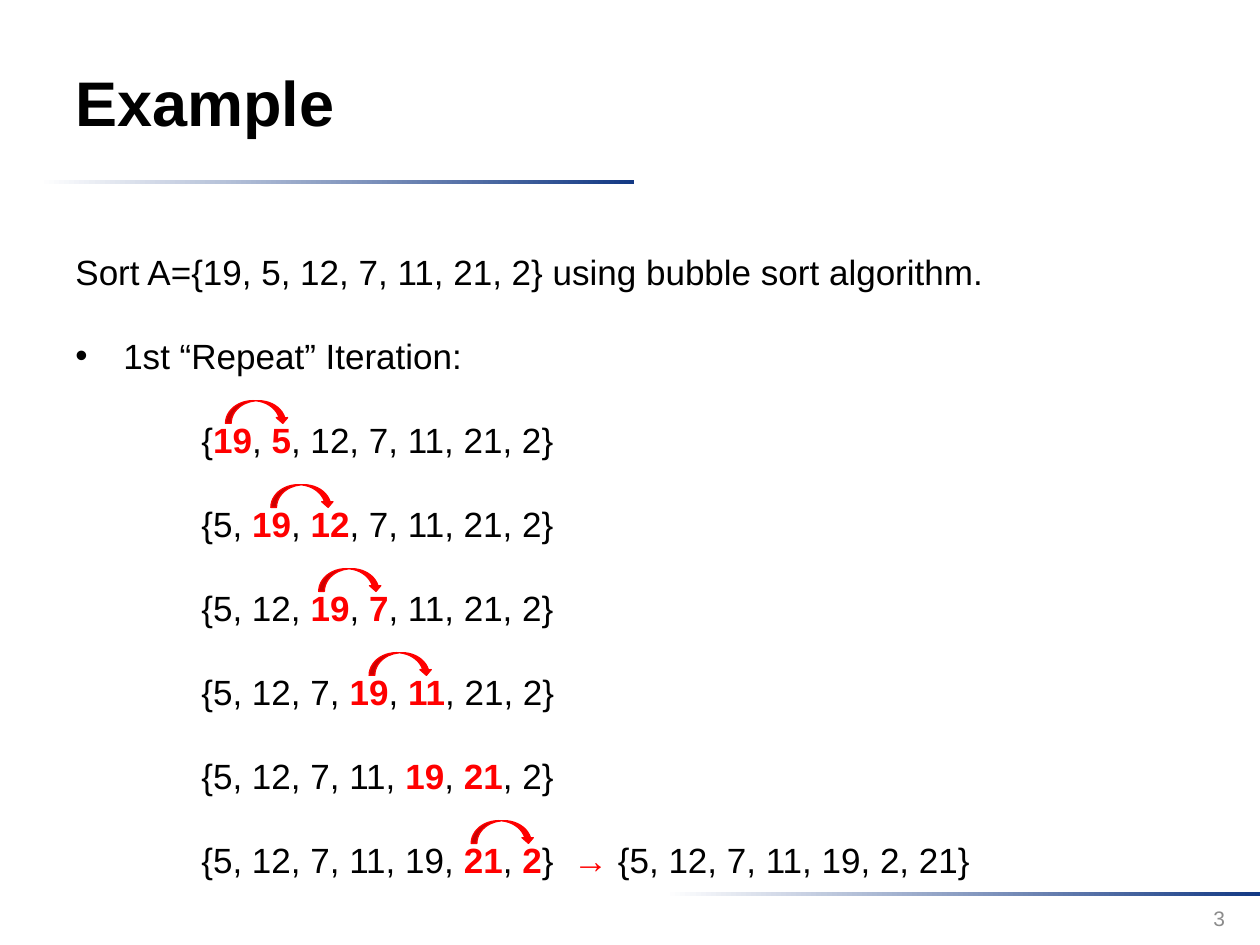
from dataclasses import dataclass

from lxml.etree import SubElement
from pptx import Presentation
from pptx.dml.color import RGBColor
from pptx.enum.shapes import MSO_SHAPE as Shape
from pptx.enum.text import MSO_ANCHOR as Anchor, PP_ALIGN as Align
from pptx.oxml.ns import qn
from pptx.util import Inches, Pt

TITLE = "Example"
TASK = "Sort A={19, 5, 12, 7, 11, 21, 2} using bubble sort algorithm."
HEADING = "1st “Repeat” Iteration:"
PAGE_NUMBER = "3"

# Values, position of the compared pair, left edge of the swap arrow (None: no swap)
STEPS = [
    ([19, 5, 12, 7, 11, 21, 2], 0, 1.79),
    ([5, 19, 12, 7, 11, 21, 2], 1, 2.15),
    ([5, 12, 19, 7, 11, 21, 2], 2, 2.53),
    ([5, 12, 7, 19, 11, 21, 2], 3, 2.93),
    ([5, 12, 7, 11, 19, 21, 2], 4, None),
    ([5, 12, 7, 11, 19, 21, 2], 5, 3.74),
]
RESULT = "{5, 12, 7, 11, 19, 2, 21}"
RULES = [(0.31, 1.43), (5.28, 7.08)]
FIRST_ARROW_TOP = 3.18
ROW_PITCH = 48 / 72


@dataclass(frozen=True)
class Theme:
    """Font, type sizes and colours of the slide."""
    font: str = "Arial"
    title: int = 36
    body: int = 20
    footer: int = 12
    row_gap: int = 24
    black: RGBColor = RGBColor(0, 0, 0)
    red: RGBColor = RGBColor(0xFF, 0, 0)
    gray: RGBColor = RGBColor(0x8C, 0x8C, 0x8C)
    navy: RGBColor = RGBColor(0x13, 0x39, 0x84)
    white: RGBColor = RGBColor(0xFF, 0xFF, 0xFF)


THEME = Theme()


def add_text_frame(page, left, top, width, height, anchor=Anchor.MIDDLE):
    """Add a wrapping text box and return its frame."""
    box = page.shapes.add_textbox(*map(Inches, (left, top, width, height)))
    frame = box.text_frame
    frame.word_wrap = True
    frame.vertical_anchor = anchor
    return frame


def add_span(para, text, size=THEME.body, color=THEME.black, bold=False):
    """Append one formatted run to a paragraph."""
    span = para.add_run()
    span.text = text
    font = span.font
    font.name, font.size, font.bold = THEME.font, Pt(size), bold
    font.color.rgb = color


def add_row(frame, left=0, hanging=0):
    """Append an indented paragraph, one row pitch below the last."""
    para = frame.add_paragraph()
    para.space_before = Pt(THEME.row_gap)
    properties = para._p.get_or_add_pPr()
    properties.set("marL", str(Inches(left)))
    properties.set("indent", str(-Inches(hanging)))
    return para


def add_bullet(para):
    """Give a paragraph a round bullet in the theme font."""
    properties = para._p.get_or_add_pPr()
    SubElement(properties, qn("a:buFont")).set("typeface", THEME.font)
    SubElement(properties, qn("a:buChar")).set("char", "•")


def add_step(frame, values, pair):
    """Write one list of values with the compared pair in bold red."""
    para = add_row(frame, left=1)
    before = "".join(f"{value}, " for value in values[:pair])
    after = "".join(f", {value}" for value in values[pair + 2:])
    add_span(para, "{" + before)
    add_span(para, str(values[pair]), color=THEME.red, bold=True)
    add_span(para, ", ")
    add_span(para, str(values[pair + 1]), color=THEME.red, bold=True)
    add_span(para, after + "}")
    return para


def add_rule(page, left, top):
    """Draw a thin bar fading from white to navy."""
    bar = page.shapes.add_shape(
        Shape.RECTANGLE, *map(Inches, (left, top, 4.72, 0.03)))
    bar.shadow.inherit = False
    bar.line.fill.background()
    bar.fill.gradient()
    bar.fill.gradient_angle = 0
    for stop, color in zip(bar.fill.gradient_stops, (THEME.white, THEME.navy)):
        stop.color.rgb = color


def add_swap_arrow(page, left, row):
    """Draw the curved arrow above a swapped pair."""
    top = FIRST_ARROW_TOP + row * ROW_PITCH
    arrow = page.shapes.add_shape(
        Shape.CURVED_DOWN_ARROW, *map(Inches, (left, top, 0.5, 0.18)))
    arrow.shadow.inherit = False
    arrow.fill.solid()
    arrow.fill.fore_color.rgb = THEME.red
    arrow.line.color.rgb = THEME.red
    arrow.line.width = Pt(0.75)


deck = Presentation()
deck.slide_width, deck.slide_height = Inches(10), Inches(7.5)
page = deck.slides.add_slide(deck.slide_layouts[6])

for left, top in RULES:
    add_rule(page, left, top)

title = add_text_frame(page, 0.5, 0.18, 7.73, 1.25)
add_span(title.paragraphs[0], TITLE, THEME.title, bold=True)

body = add_text_frame(page, 0.5, 1.94, 9.08, 5.75, Anchor.TOP)
body.margin_top = Inches(0.05)
add_span(body.paragraphs[0], TASK)
heading = add_row(body, left=0.38, hanging=0.38)
add_bullet(heading)
add_span(heading, HEADING)

for row, (values, pair, arrow_left) in enumerate(STEPS):
    last_step = add_step(body, values, pair)
    if arrow_left is not None:
        add_swap_arrow(page, arrow_left, row)
add_span(last_step, "  ")
add_span(last_step, "→ ", color=THEME.red, bold=True)
add_span(last_step, RESULT)

footer = add_text_frame(page, 7.49, 7.09, 2.33, 0.4)
footer.paragraphs[0].alignment = Align.RIGHT
add_span(footer.paragraphs[0], PAGE_NUMBER, THEME.footer, THEME.gray)

deck.save("out.pptx")
